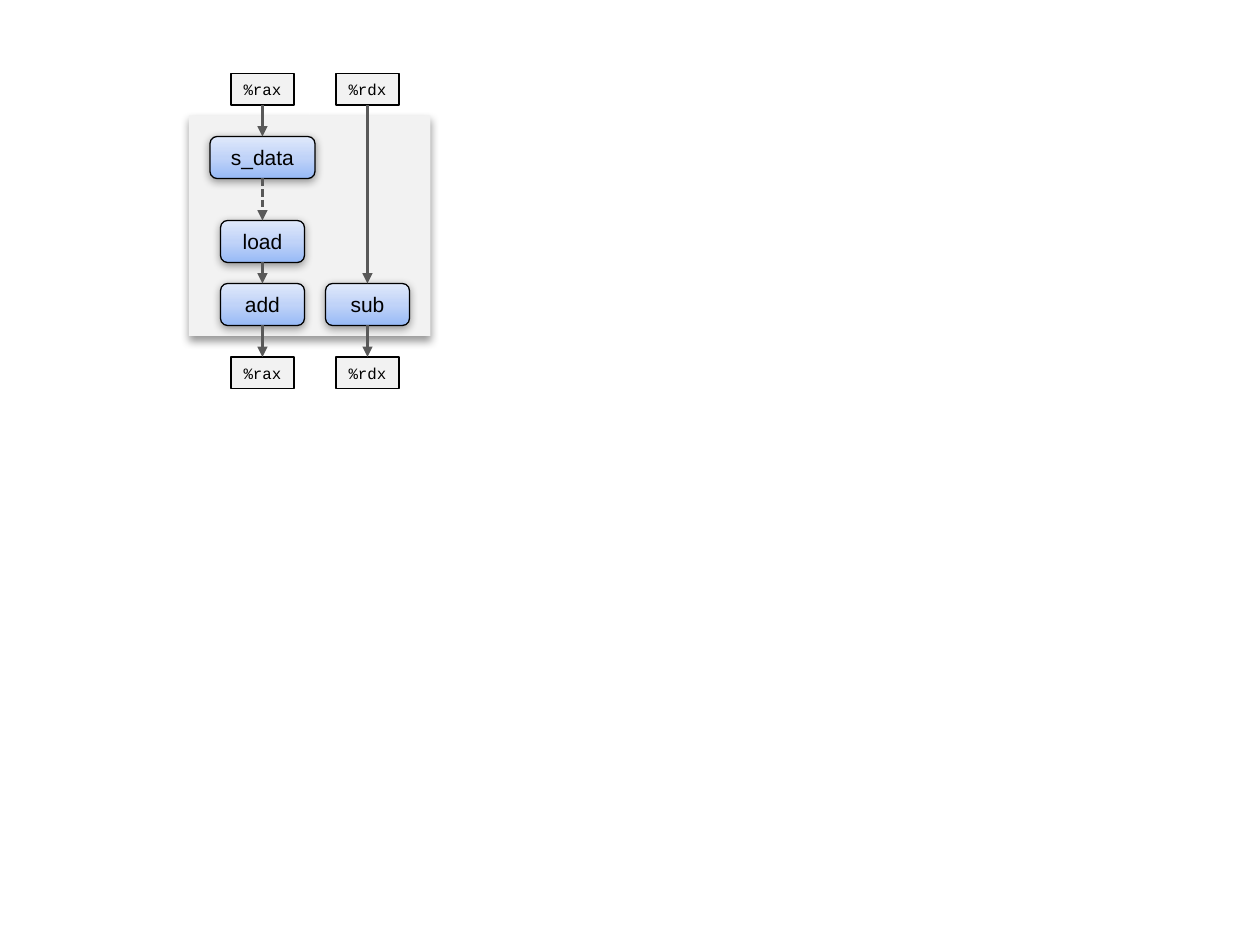
import copy
import pptx
import pptx.util
import pptx.dml.color
import pptx.enum.dml
import pptx.enum.shapes
import pptx.enum.text
import pptx.oxml.ns
from lxml import etree

PX = 9525
BLACK = pptx.dml.color.RGBColor(0x00, 0x00, 0x00)
PANEL = pptx.dml.color.RGBColor(0xF2, 0xF2, 0xF2)
ARROW = pptx.dml.color.RGBColor(0x59, 0x59, 0x59)
BLUES = [pptx.dml.color.RGBColor(0x98, 0xBA, 0xF6),
         pptx.dml.color.RGBColor(0xC0, 0xD3, 0xF8),
         pptx.dml.color.RGBColor(0xE0, 0xE9, 0xFB)]
qn = pptx.oxml.ns.qn
SHAPE = pptx.enum.shapes.MSO_SHAPE

prs = pptx.Presentation()
prs.slide_width = 960 * PX
prs.slide_height = 720 * PX
s = prs.slides.add_slide(prs.slide_layouts[6])


def add_box(kind, cx, top, w, h, text="", font="Arial", size=12):
    sp = s.shapes.add_shape(kind, (cx - w // 2) * PX, top * PX, w * PX, h * PX)
    sp.shadow.inherit = False
    sp.fill.solid()
    sp.fill.fore_color.rgb = PANEL
    sp.line.color.rgb = BLACK
    tf = sp.text_frame
    tf.margin_left = tf.margin_right = tf.margin_top = tf.margin_bottom = 0
    tf.vertical_anchor = pptx.enum.text.MSO_ANCHOR.MIDDLE
    if text:
        p = tf.paragraphs[0]
        p.alignment = pptx.enum.text.PP_ALIGN.CENTER
        r = p.add_run()
        r.text = text
        r.font.name = font
        r.font.size = pptx.util.Pt(size)
        r.font.color.rgb = BLACK
    return sp


def add_shadow(sp, alpha, dist):
    effects = sp._element.spPr.find(qn("a:effectLst"))
    shadow = etree.SubElement(effects, qn("a:outerShdw"), blurRad=str(pptx.util.Pt(5)),
                              dist=str(pptx.util.Pt(dist)), dir="5400000",
                              algn="t", rotWithShape="0")
    color = etree.SubElement(shadow, qn("a:srgbClr"), val=str(BLACK))
    etree.SubElement(color, qn("a:alpha"), val=str(alpha * 1000))


panel = add_box(SHAPE.RECTANGLE, 236, 88, 184, 168)
panel.line.fill.background()
add_shadow(panel, 40, 3)

nodes = {}
for name, cx in [("%rax", 200), ("%rdx", 280)]:
    for end, top in [("in", 56), ("out", 272)]:
        sp = add_box(SHAPE.RECTANGLE, cx, top, 48, 24, name, "Courier New", 9)
        sp.line.width = pptx.util.Pt(1)
        nodes[name + " " + end] = sp

for name, cx, top, w in [("s_data", 200, 104, 80), ("load", 200, 168, 64),
                         ("add", 200, 216, 64), ("sub", 280, 216, 64)]:
    sp = add_box(SHAPE.ROUNDED_RECTANGLE, cx, top, w, 32, name)
    sp.adjustments[0] = 0.17
    sp.line.width = pptx.util.Pt(0.75)
    sp.fill.gradient()
    sp.fill.gradient_angle = 90
    stops = sp._element.spPr.find(qn("a:gradFill")).find(qn("a:gsLst"))
    stops.append(copy.deepcopy(stops[0]))
    for i, stop in enumerate(sp.fill.gradient_stops):
        stop.position = i / 2
        stop.color.rgb = BLUES[i]
    add_shadow(sp, 38, 1.6)
    nodes[name] = sp

for start, end in [("%rax in", "s_data"), ("s_data", "load"), ("load", "add"),
                   ("add", "%rax out"), ("%rdx in", "sub"), ("sub", "%rdx out")]:
    c = s.shapes.add_connector(pptx.enum.shapes.MSO_CONNECTOR.STRAIGHT, 0, 0, 0, 0)
    c.begin_connect(nodes[start], 2)
    c.end_connect(nodes[end], 0)
    c.line.color.rgb = ARROW
    c.line.width = pptx.util.Pt(1.5)
    if start == "s_data":
        c.line.dash_style = pptx.enum.dml.MSO_LINE.SQUARE_DOT
    etree.SubElement(c.line._get_or_add_ln(), qn("a:tailEnd"), type="triangle")
    etree.SubElement(c._element.spPr, qn("a:effectLst"))

prs.save("out.pptx")
